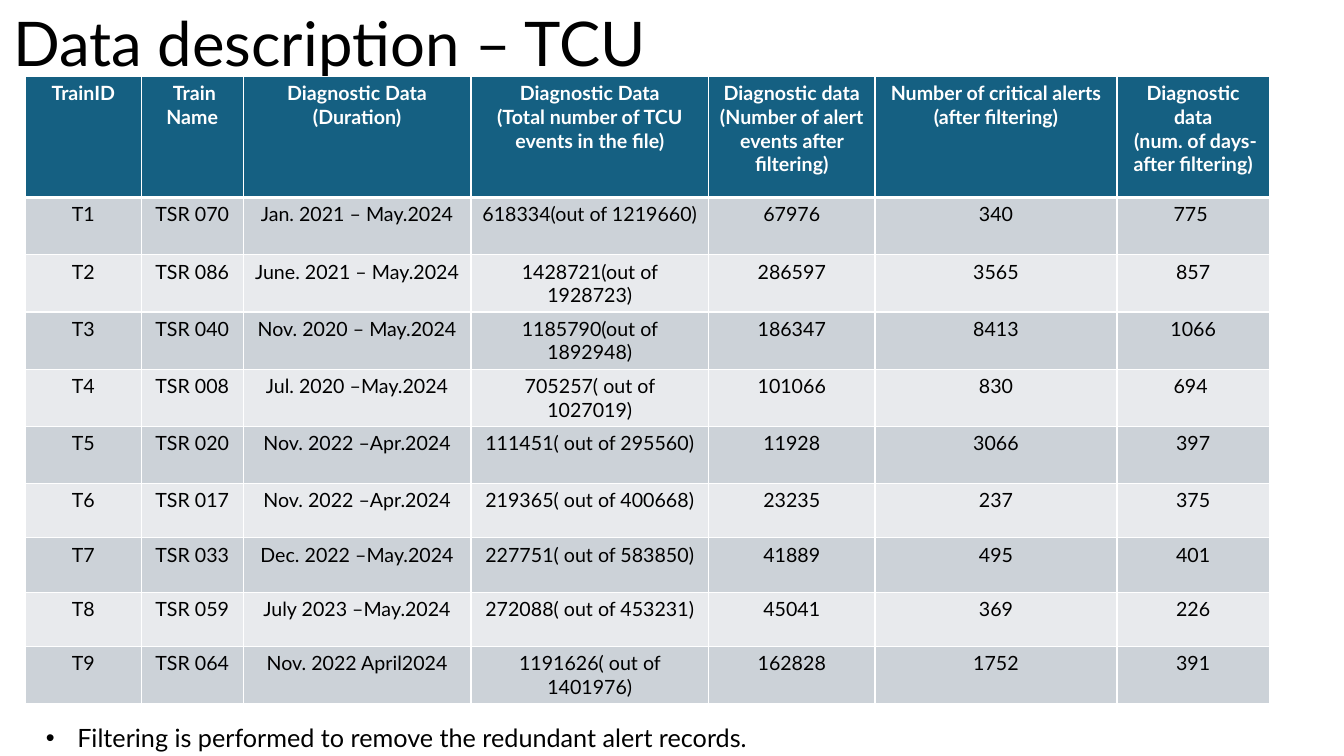
from lxml import etree
from pptx import Presentation
from pptx import util as u
from pptx.dml.color import RGBColor
from pptx.enum import text
from pptx.oxml.ns import qn

COLORS = {
    "black": "000000",
    "white": "FFFFFF",
    "header": "156082",
    "odd": "CCD2D8",
    "even": "E8EAED",
}

HEADERS = [
    "TrainID",
    " Train Name",
    "Diagnostic Data\n(Duration)",
    "Diagnostic Data\n(Total number of TCU events in the file)",
    "Diagnostic data\n(Number of alert events after filtering)",
    "Number of critical alerts (after filtering)",
    "Diagnostic data\n (num. of days- after filtering)",
]
TRAINS = [
    ["T1", "TSR 070", "Jan. 2021 – May.2024", "618334(out of 1219660)", "67976", "340", "775 "],
    ["T2", "TSR 086", "June. 2021 – May.2024", "1428721(out of 1928723)", "286597", "3565", "857"],
    ["T3", "TSR 040", "Nov. 2020 – May.2024", "1185790(out of 1892948)", "186347", "8413", "1066"],
    ["T4", "TSR 008", "Jul. 2020 –May.2024", "705257( out of 1027019)", "101066", "830", "694 "],
    ["T5", "TSR 020", "Nov. 2022 –Apr.2024", "111451( out of 295560)", "11928", "3066", "397"],
    ["T6", "TSR 017", "Nov. 2022 –Apr.2024", "219365( out of 400668)", "23235", "237", "375"],
    ["T7", "TSR 033", "Dec. 2022 –May.2024", "227751( out of 583850)", "41889", "495", "401"],
    ["T8", "TSR 059", "July 2023 –May.2024", "272088( out of 453231)", "45041", "369", "226"],
    ["T9", "TSR 064", "Nov. 2022 April2024", "1191626( out of 1401976)", "162828", "1752", "391"],
]
COLUMN_WIDTHS = [2.92, 2.57, 5.74, 5.99, 4.19, 6.1, 3.84]
ROW_HEIGHTS = [3.05] + [1.44] * 5 + [1.37] * 3 + [1.44]


def write(tf, content, size=14, color="black", bold=False, align=None, spacing=None, font="Lato"):
    """Fill a text frame, one paragraph for each line of content."""
    tf.word_wrap = True
    for i, line in enumerate(content.split("\n")):
        p = tf.paragraphs[0] if i == 0 else tf.add_paragraph()
        p.alignment = align
        p.line_spacing = spacing
        r = p.add_run()
        r.text = line
        r.font.name = font
        r.font.size = u.Pt(size)
        r.font.bold = bold
        r.font.color.rgb = RGBColor.from_string(COLORS[color])


def set_borders(cell, bottom=1):
    tc_pr = cell._tc.get_or_add_tcPr()
    widths = {"a:lnL": 1, "a:lnR": 1, "a:lnT": 1, "a:lnB": bottom}
    for i, (tag, width) in enumerate(widths.items()):
        ln = etree.Element(qn(tag), w=str(u.Pt(width)))
        fill = etree.SubElement(ln, qn("a:solidFill"))
        etree.SubElement(fill, qn("a:srgbClr"), val=COLORS["white"])
        tc_pr.insert(i, ln)


class SlideBuilder:
    def __init__(self, prs):
        self.s = prs.slides.add_slide(prs.slide_layouts[6])

    def text_box(self, left, top, width, height, content, inset=None, **style):
        sp = self.s.shapes.add_textbox(u.Cm(left), u.Cm(top), u.Cm(width), u.Cm(height))
        tf = sp.text_frame
        if inset is not None:
            tf.margin_left = tf.margin_right = u.Cm(inset)
            tf.margin_top = tf.margin_bottom = u.Cm(inset)
        write(tf, content, **style)
        return tf

    def bullet(self, left, top, width, height, content, indent, **style):
        tf = self.text_box(left, top, width, height, content, **style)
        p_pr = tf.paragraphs[0]._p.get_or_add_pPr()
        p_pr.set("marL", str(u.Cm(indent)))
        p_pr.set("indent", str(-u.Cm(indent)))
        etree.SubElement(p_pr, qn("a:buFont"), typeface="Arial")
        etree.SubElement(p_pr, qn("a:buChar"), char="•")

    def table(self, left, top, widths, heights, rows):
        frame = self.s.shapes.add_table(
            len(rows), len(widths), u.Cm(left), u.Cm(top),
            u.Cm(sum(widths)), u.Cm(sum(heights)))
        table = frame.table
        for column, width in zip(table.columns, widths):
            column.width = u.Cm(width)
        for row, height in zip(table.rows, heights):
            row.height = u.Cm(height)
        for i, row in enumerate(rows):
            is_header = i == 0
            fill = "header" if is_header else ("odd" if i % 2 else "even")
            for j, value in enumerate(row):
                cell = table.cell(i, j)
                cell.fill.solid()
                cell.fill.fore_color.rgb = RGBColor.from_string(COLORS[fill])
                set_borders(cell, bottom=3 if is_header else 1)
                write(cell.text_frame, value, bold=is_header,
                      color="white" if is_header else "black",
                      align=text.PP_ALIGN.CENTER)


def main():
    prs = Presentation()
    prs.slide_width, prs.slide_height = u.Cm(33.87), u.Cm(19.05)
    slide = SlideBuilder(prs)
    slide.text_box(0, 0, 31.55, 2.13, "Data description – TCU",
                   inset=0.33, size=44, spacing=0.9)
    slide.table(0.64, 1.93, COLUMN_WIDTHS, ROW_HEIGHTS, [HEADERS] + TRAINS)
    slide.bullet(0.91, 18.08, 28.5, 1.02,
                 "Filtering is performed to remove the redundant alert records.",
                 indent=0.79, size=18)
    prs.save("out.pptx")


if __name__ == "__main__":
    main()
